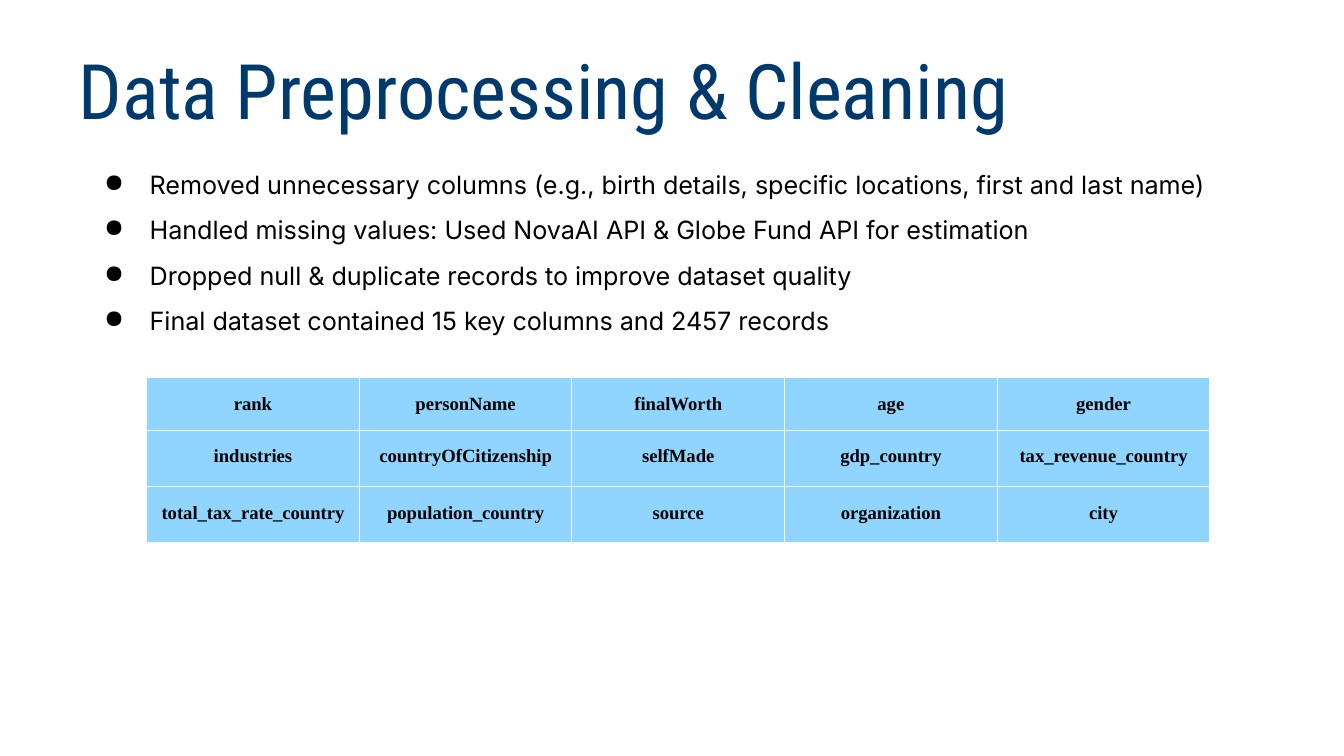
from dataclasses import dataclass

from lxml.etree import SubElement
from pptx import Presentation
from pptx.dml.color import RGBColor
from pptx.enum.text import MSO_ANCHOR, PP_ALIGN
from pptx.oxml.ns import qn
from pptx.util import Cm, Pt


@dataclass(frozen=True)
class Theme:
    navy: str = "003A6D"
    black: str = "000000"
    sky: str = "90D5FF"
    white: str = "FFFFFF"
    title_size: float = 41
    body_size: float = 13.5
    cell_size: float = 10


theme = Theme()


def set_font(paragraph, name, size, color, bold=False):
    font = paragraph.font
    font.name, font.size, font.bold = name, Pt(size), bold
    font.color.rgb = RGBColor.from_string(color)


def add_text_frame(left, top, width, height, bottom_inset):
    shape = slide.shapes.add_textbox(Cm(left), Cm(top), Cm(width), Cm(height))
    frame = shape.text_frame
    frame.word_wrap = True
    frame.margin_left = frame.margin_right = Cm(0.19)
    frame.margin_top, frame.margin_bottom = Cm(0.1), Cm(bottom_inset)
    return frame


presentation = Presentation()
presentation.slide_width, presentation.slide_height = Cm(25.4), Cm(14.29)
slide = presentation.slides.add_slide(presentation.slide_layouts[6])

title = add_text_frame(1.3, 0.18, 22.58, 2.39, 0)
title.vertical_anchor = MSO_ANCHOR.BOTTOM
title.text = "Data Preprocessing & Cleaning"
title.paragraphs[0].line_spacing = 0.9
set_font(title.paragraphs[0], "Roboto Condensed", theme.title_size, theme.navy)

steps = [
    "Removed unnecessary columns (e.g., birth details, specific locations, first and last name)",
    "Handled missing values: Used NovaAI API & Globe Fund API for estimation",
    "Dropped null & duplicate records to improve dataset quality",
    "Final dataset contained 15 key columns and 2457 records",
]
body = add_text_frame(1.37, 2.82, 22.4, 9.53, 0.1)
body.text = "\n".join(steps)
for paragraph in body.paragraphs:
    properties = paragraph._p.get_or_add_pPr()
    properties.set("marL", str(Cm(1.27)))
    properties.set("indent", str(Cm(-0.86)))
    bullet_color = SubElement(properties, qn("a:buClr"))
    SubElement(bullet_color, qn("a:srgbClr"), val=theme.black)
    SubElement(properties, qn("a:buChar"), char="●")
    paragraph.line_spacing = 1.5
    set_font(paragraph, "Inter", theme.body_size, theme.black)

column_names = [
    ["rank", "personName", "finalWorth", "age", "gender"],
    ["industries", "countryOfCitizenship", "selfMade", "gdp_country", "tax_revenue_country"],
    ["total_tax_rate_country", "population_country", "source", "organization", "city"],
]
row_heights = [0.99, 1.06, 1.06]
column_width = 4.02
table = slide.shapes.add_table(
    3, 5, Cm(2.77), Cm(7.14), Cm(5 * column_width), Cm(sum(row_heights))
).table
for column in table.columns:
    column.width = Cm(column_width)
for row, height, names in zip(table.rows, row_heights, column_names):
    row.height = Cm(height)
    for cell, name in zip(row.cells, names):
        cell.text = name
        cell.margin_left = cell.margin_right = Cm(0.25)
        cell.margin_top = cell.margin_bottom = Cm(0.25)
        for side in ("lnL", "lnR", "lnT", "lnB"):
            border = SubElement(cell._tc.get_or_add_tcPr(), qn(f"a:{side}"), w=str(Pt(0.75)))
            border_fill = SubElement(border, qn("a:solidFill"))
            SubElement(border_fill, qn("a:srgbClr"), val=theme.white)
        cell.fill.solid()
        cell.fill.fore_color.rgb = RGBColor.from_string(theme.sky)
        paragraph = cell.text_frame.paragraphs[0]
        paragraph.alignment = PP_ALIGN.CENTER
        paragraph.line_spacing = 1.15
        set_font(paragraph, "Times New Roman", theme.cell_size, theme.black, bold=True)

presentation.save("out.pptx")
